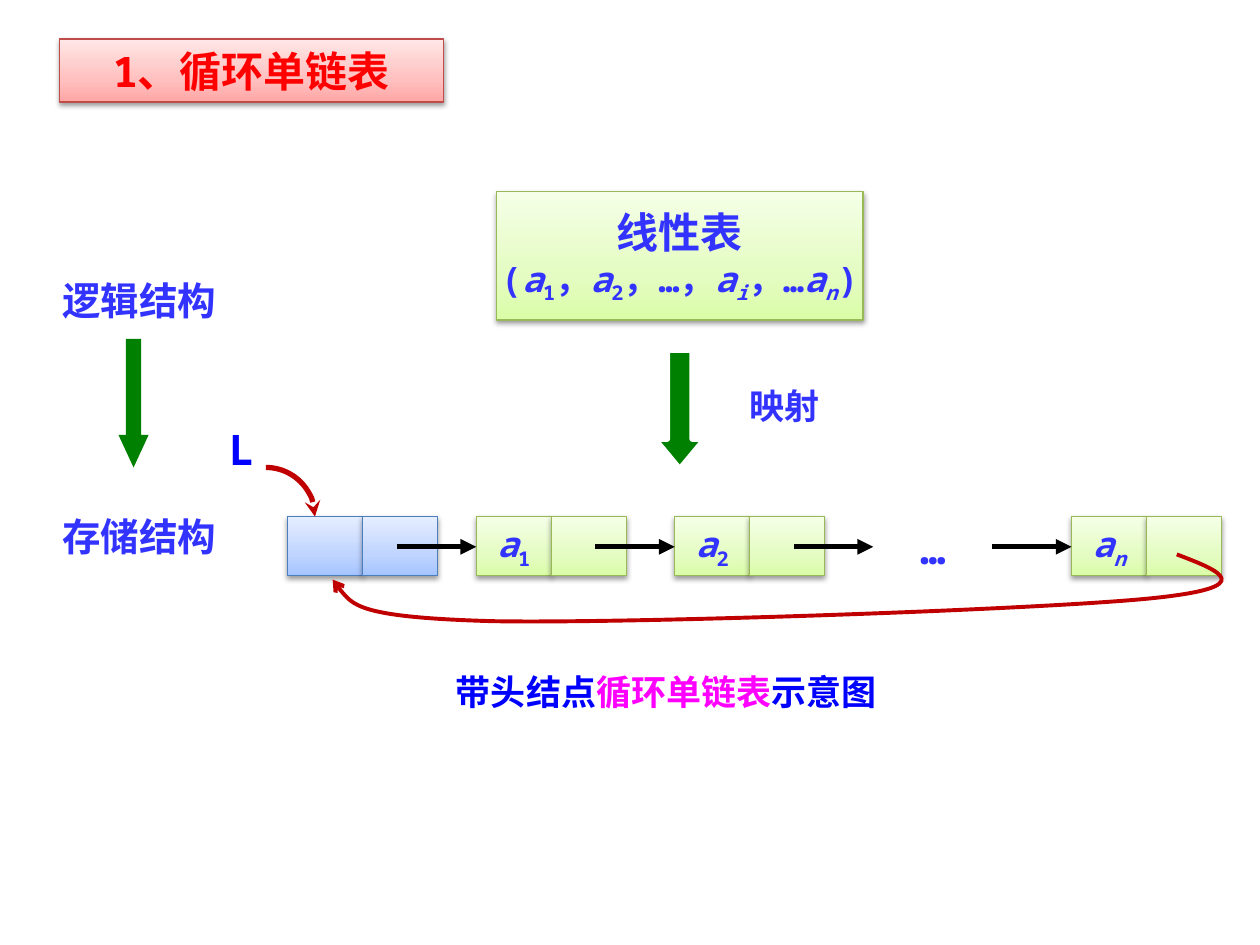
from pptx import Presentation
from pptx.dml.color import RGBColor
from pptx.enum.shapes import MSO_CONNECTOR, MSO_SHAPE
from pptx.enum.text import MSO_ANCHOR, PP_ALIGN
from pptx.oxml import parse_xml
from pptx.oxml.ns import nsdecls, qn
from pptx.util import Inches, Pt
from lxml import etree

FONT = "Noto Sans Mono"
COLORS = {"text": "3333FF", "label": "0000FF", "title": "FF0000", "accent": "FF00FF",
          "arrow": "008000", "pointer": "C00000", "link": "000000", "white": "FFFFFF"}
# Gradient stops at 0, 35 and 100 percent, then the outline
BOXES = {"green": ("DAFDA7", "E4FCC2", "F5FFE7", "98B955"),
         "blue": ("A4C4FF", "BFD4FF", "E6EEFF", "4B7EBC"),
         "red": ("FFA6A5", "FFC0BF", "FFE7E7", "BF4C48")}
CELL_W, CELL_H, ROW_Y = 0.595, 0.47, 4.1
PITCH = 1.575


def rgb(name):
    return RGBColor.from_string(COLORS[name])


def inches(*values):
    return [Inches(v) for v in values]


def add_text(p, text, size=20, color="text", bold=True, italic=False, sub=False):
    r = p.add_run()
    r.text = text
    f = r.font
    f.size, f.bold, f.italic, f.name = Pt(size), bold, italic, FONT
    f.color.rgb = rgb(color)
    rPr = r.font._element
    if sub:
        rPr.set("baseline", "-25000")
    etree.SubElement(rPr, qn("a:ea")).set("typeface", FONT)


def add_symbol(p, index):
    """Write the list element a with its subscript."""
    add_text(p, "a", italic=True)
    add_text(p, index, italic=index.isalpha(), sub=True)


def style_box(shape, kind):
    """Give a box its three-stop gradient, thin outline and soft shadow."""
    *stops, outline = BOXES[kind]
    shape.line.color.rgb = RGBColor.from_string(outline)
    shape.line.width = Pt(0.75)
    shape.fill.gradient()
    shape.fill.gradient_angle = 90
    spPr = shape.element.spPr
    gs_list = spPr.find(qn("a:gradFill")).find(qn("a:gsLst"))
    for gs in list(gs_list):
        gs_list.remove(gs)
    for pos, color in zip((0, 35, 100), stops):
        gs_list.append(parse_xml(f'<a:gs {nsdecls("a")} pos="{pos * 1000}">'
                                 f'<a:srgbClr val="{color}"/></a:gs>'))
    shape.shadow.inherit = False
    spPr.find(qn("a:effectLst")).append(parse_xml(
        f'<a:outerShdw {nsdecls("a")} blurRad="{Pt(3.1)}" dist="{Pt(1.6)}" dir="5400000" '
        'rotWithShape="0"><a:srgbClr val="000000"><a:alpha val="38000"/></a:srgbClr>'
        '</a:outerShdw>'))


def add_box(s, box, kind):
    sp = s.shapes.add_shape(MSO_SHAPE.RECTANGLE, *inches(*box))
    style_box(sp, kind)
    tf = sp.text_frame
    tf.word_wrap = False
    tf.vertical_anchor = MSO_ANCHOR.MIDDLE
    tf.paragraphs[0].alignment = PP_ALIGN.CENTER
    return tf


def add_label(s, box, *runs, align=PP_ALIGN.CENTER, size=20):
    """Add a text box from (text, color) runs."""
    tf = s.shapes.add_textbox(*inches(*box)).text_frame
    tf.word_wrap = True
    p = tf.paragraphs[0]
    p.alignment = align
    for text, color in runs:
        add_text(p, text, size=size, color=color)


def style_line(shape, color, width, head):
    shape.line.color.rgb = rgb(color)
    shape.line.width = Pt(width)
    spPr = shape.element.spPr
    etree.SubElement(spPr.find(qn("a:ln")), qn("a:tailEnd")).set("type", head)
    etree.SubElement(spPr, qn("a:effectLst"))


def add_down_arrow(s, box, head, outlined=False):
    sp = s.shapes.add_shape(MSO_SHAPE.DOWN_ARROW, *inches(*box))
    sp.adjustments[1] = head
    sp.shadow.inherit = False
    sp.fill.solid()
    sp.fill.fore_color.rgb = rgb("arrow")
    if outlined:
        sp.line.color.rgb = rgb("white")
        sp.line.width = Pt(3)
    else:
        sp.line.fill.background()


def add_curve(s, points, color, width, head):
    """Draw a chain of cubic Béziers: a start, then three points per piece."""
    builder = s.shapes.build_freeform(*inches(*points[0]), scale=1.0)
    builder.add_line_segments([inches(*pt) for pt in points[1:]], close=False)
    sp = builder.convert_to_shape()
    path = next(sp.element.iter(qn("a:path")))
    segments = path.findall(qn("a:lnTo"))
    for i in range(0, len(segments), 3):
        curve = etree.SubElement(path, qn("a:cubicBezTo"))
        for segment in segments[i:i + 3]:
            curve.append(segment[0])
            path.remove(segment)
    sp.fill.background()
    style_line(sp, color, width, head)


def add_title(s, box):
    title = s.shapes.title
    title.left, title.top, title.width, title.height = inches(*box)
    style_box(title, "red")
    p = title.text_frame.paragraphs[0]
    p.alignment = PP_ALIGN.CENTER
    add_text(p, "1、循环单链表", size=24, color="title")


def add_linear_list(s, box):
    """Box with the linear list and the mapping arrow beneath it."""
    x, y, w, h = box
    tf = add_box(s, box, "green")
    add_text(tf.paragraphs[0], "线性表", size=24)
    p = tf.add_paragraph()
    p.alignment = PP_ALIGN.CENTER
    add_text(p, "(")
    for index, separator in (("1", "，"), ("2", "，…，"), ("i", "，…"), ("n", ")")):
        add_symbol(p, index)
        add_text(p, separator)
    bottom = y + h
    add_down_arrow(s, (x + w / 2 - 0.195, bottom + 0.24, 0.39, 0.94), 0.6, outlined=True)
    add_label(s, (x + 1.76, bottom + 0.46, 1.05, 0.43), ("映射", "text"))


def add_levels(s, box):
    """Logical structure at the top, storage structure at the bottom."""
    x, y, w, h = box
    for text, top in (("逻辑结构", y), ("存储结构", y + h - 0.47)):
        add_label(s, (x, top, w, 0.47), (text, "text"), size=22)
    add_down_arrow(s, (x + 0.78, y + 0.54, 0.24, 1.02), 1.08)


def add_node(s, x, kind="green", index=None):
    tf = add_box(s, (x, ROW_Y, CELL_W, CELL_H), kind)
    if index:
        add_symbol(tf.paragraphs[0], index)
    add_box(s, (x + CELL_W, ROW_Y, CELL_W, CELL_H), kind)


def add_chain(s, first_x):
    """Head node, list nodes, links and the pointer back to the head."""
    add_node(s, 2.28, "blue")
    for slot, index in ((0, "1"), (1, "2"), (3, "n")):
        add_node(s, first_x + slot * PITCH, index=index)
    add_label(s, (7.09, ROW_Y, 0.63, 0.5), ("…", "text"), size=24)
    add_label(s, (1.72, 3.31, 0.47, 0.5), ("L", "label"), size=24, align=PP_ALIGN.LEFT)

    arc = s.shapes.add_shape(MSO_SHAPE.ARC, *inches(1.72, 3.71, 0.78, 0.78))
    arc.fill.background()
    style_line(arc, "pointer", 3, "stealth")

    y = ROW_Y + 0.24
    for slot in range(4):
        end = first_x + slot * PITCH
        link = s.shapes.add_connector(MSO_CONNECTOR.STRAIGHT, *inches(end - 0.63, y, end, y))
        style_line(link, "link", 3, "triangle")

    add_curve(s, [(9.34, 4.4), (9.68, 4.53), (10.02, 4.66), (9.12, 4.75),
                  (8.21, 4.84), (4.99, 4.95), (3.91, 4.93),
                  (2.83, 4.9), (2.74, 4.75), (2.64, 4.6)], "pointer", 2.25, "arrow")


def main():
    prs = Presentation()
    prs.slide_width, prs.slide_height = inches(10, 7.5)
    s = prs.slides.add_slide(prs.slide_layouts[5])
    add_title(s, (0.47, 0.31, 3.05, 0.5))
    add_linear_list(s, (3.94, 1.52, 2.91, 1.02))
    add_levels(s, (0.16, 2.15, 1.89, 2.34))
    add_chain(s, 3.78)
    add_label(s, (3.52, 5.27, 3.91, 0.44), ("带头结点", "label"), ("循环单链表", "accent"),
              ("示意图", "label"), align=PP_ALIGN.LEFT)
    prs.save("out.pptx")


if __name__ == "__main__":
    main()
